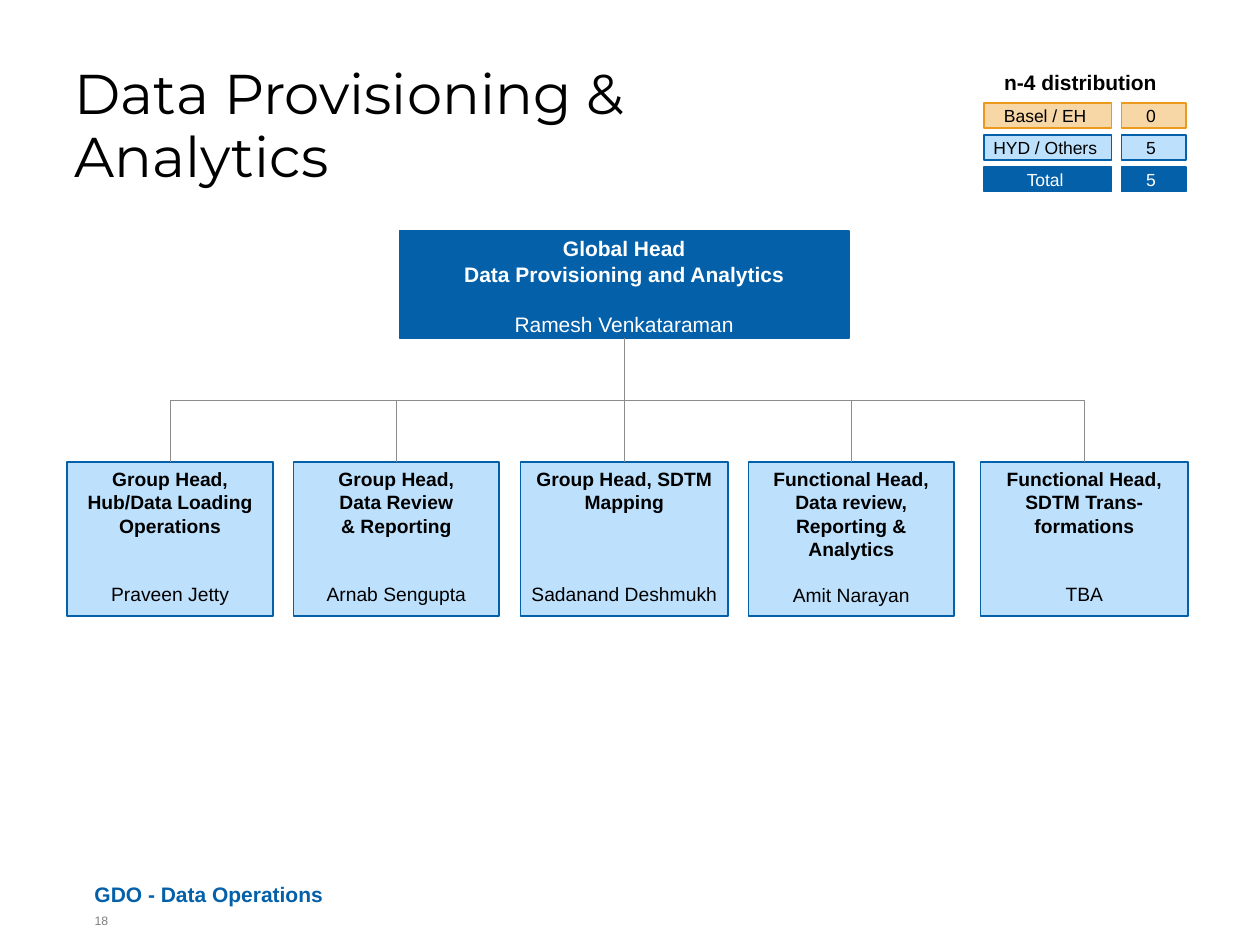
from lxml.etree import SubElement
from pptx import Presentation
from pptx.dml.color import RGBColor as RGB
from pptx.enum.shapes import MSO_CONNECTOR as CONN, MSO_SHAPE as SHAPE
from pptx.enum.text import MSO_ANCHOR as ANCHOR, MSO_AUTO_SIZE as FIT, PP_ALIGN as ALIGN
from pptx.oxml.ns import qn
from pptx.util import Pt

BLUE = RGB(0x04, 0x60, 0xA9)
SKY = RGB(0xBD, 0xE1, 0xFD)
SAND = RGB(0xF7, 0xD7, 0xA5)
ORANGE = RGB(0xEC, 0x9A, 0x1E)
BLACK = RGB(0, 0, 0)
WHITE = RGB(0xFF, 0xFF, 0xFF)
LINE_GRAY = RGB(0x8C, 0x8C, 0x8C)
PAGE_GRAY = RGB(0x7F, 0x7F, 0x7F)
LINE_HEIGHT = 1.18

GROUPS = [
    (38.2, 118, "Group Head, Hub/Data Loading Operations", "Praveen Jetty", 2),
    (167.75, 117.5, "Group Head,\vData Review\v& Reporting", "Arnab Sengupta", 2),
    (297.35, 118.8, "Group Head, SDTM Mapping", "Sadanand Deshmukh", 3),
    (427.7, 117.5, "Functional Head, Data review, Reporting & Analytics", "Amit Narayan", 1),
    (560.2, 118.8, "Functional Head, SDTM Trans-\vformations", "TBA", 2),
]
TALLY = [
    ("Basel / EH", "0", SAND, ORANGE, BLACK),
    ("HYD / Others", "5", SKY, BLUE, BLACK),
    ("Total", "5", BLUE, BLUE, WHITE),
]


def set_frame(tf, insets, anchor=ANCHOR.TOP):
    left, top, right, bottom = map(Pt, insets)
    fmt = dict(margin_left=left, margin_top=top, margin_right=right, margin_bottom=bottom,
               vertical_anchor=anchor, auto_size=FIT.NONE, word_wrap=True)
    for key, value in fmt.items():
        setattr(tf, key, value)


def write(p, text, size, color, bold=False, align=ALIGN.LEFT, font="Arial", before=0):
    p.text = text
    p.alignment = align
    p.space_before = Pt(before)
    for r in p.runs:
        for key, value in dict(name=font, size=Pt(size), bold=bold).items():
            setattr(r.font, key, value)
        r.font.color.rgb = color


def add_label(s, box, text, size, color, insets=(0, 0, 0, 0), anchor=ANCHOR.TOP, bold=False):
    tf = s.shapes.add_textbox(*map(Pt, box)).text_frame
    set_frame(tf, insets, anchor)
    write(tf.paragraphs[0], text, size, color, bold)


def add_box(s, box, fill, line):
    sp = s.shapes.add_shape(SHAPE.RECTANGLE, *map(Pt, box))
    sp.shadow.inherit = False
    sp.fill.solid()
    sp.fill.fore_color.rgb = fill
    sp.line.color.rgb = line
    sp.line.width = Pt(1)
    return sp


def add_role(s, box, role_lines, person, size, fill, color, blanks, side=3):
    sp = add_box(s, box, fill, BLUE)
    tf = sp.text_frame
    set_frame(tf, (side, 3, side, 3))
    for i, text in enumerate(role_lines):
        p = tf.add_paragraph() if i else tf.paragraphs[0]
        write(p, text, size, color, True, ALIGN.CENTER)
    write(tf.add_paragraph(), person, size, color, align=ALIGN.CENTER,
          before=round(blanks * size * LINE_HEIGHT, 2))
    return sp


def link(s, parent, child):
    x1, y1 = parent.left + parent.width // 2, parent.top + parent.height
    x2, y2 = child.left + child.width // 2, child.top
    dx, dy = x2 - x1, y2 - y1
    straight = abs(dx) < Pt(1)
    c = s.shapes.add_connector(CONN.STRAIGHT if straight else CONN.ELBOW, x1, y1, x2, y2)
    c.begin_connect(parent, 2)
    c.end_connect(child, 0)
    c.line.color.rgb = LINE_GRAY
    c.line.width = Pt(0.5)
    spPr = c._element.spPr
    SubElement(spPr, qn("a:effectLst"))
    if straight:
        return
    frame = dict(left=(x1 + x2 - dy) // 2, top=(y1 + y2 - abs(dx)) // 2,
                 width=dy, height=abs(dx))
    for key, value in frame.items():
        setattr(c, key, value)
    xfrm = spPr.find(qn("a:xfrm"))
    xfrm.set("rot", "16200000" if dx > 0 else "5400000")
    xfrm.set("flipH", "1" if dx > 0 else "0")
    xfrm.set("flipV", "0")


def add_title(s, box):
    title = s.shapes.title
    for key, value in zip(("left", "top", "width", "height"), box):
        setattr(title, key, Pt(value))
    set_frame(title.text_frame, (0, 0, 0, 0))
    p = title.text_frame.paragraphs[0]
    write(p, "Data Provisioning & Analytics", 32, BLACK, font="Montserrat")
    p.line_spacing = 0.95


def add_tally(s, box):
    left, top, width, height = box
    label_w, count_w, row_h, cell_h = 72.75, 36.75, 18.1, 14.25
    add_label(s, (left + 4.3, top, width - 4.3, 21.6), "n-4 distribution", 12, BLACK,
              (7.2, 3.6, 7.2, 3.6), bold=True)
    first = top + height - 2 * row_h - cell_h
    for i, (name, count, fill, line, color) in enumerate(TALLY):
        y = first + i * row_h
        cells = [(left, label_w, name), (left + width - count_w, count_w, count)]
        for x, w, text in cells:
            tf = add_box(s, (x, y, w, cell_h), fill, line).text_frame
            set_frame(tf, (0, 0, 3, 0), ANCHOR.MIDDLE)
            write(tf.paragraphs[0], text, 10, color, align=ALIGN.CENTER)


def add_org_chart(s, box):
    left, top, width, height = box
    head = add_role(s, (left + 190.05, top, 257, 61.2),
                    ["Global Head", "Data Provisioning and Analytics"],
                    "Ramesh Venkataraman", 12, BLUE, WHITE, 1)
    group_h = 87.8
    groups = [
        add_role(s, (x, top + height - group_h, w, group_h), [role], person, 11,
                 SKY, BLACK, blanks, 0 if "SDTM Mapping" in role else 3)
        for x, w, role, person, blanks in GROUPS
    ]
    for group in groups:
        link(s, head, group)


def add_footer(s, box):
    left, top, width, height = box
    add_label(s, (left, top, width, 18), "GDO - Data Operations", 12, BLUE,
              anchor=ANCHOR.BOTTOM, bold=True)
    add_label(s, (left, top + height - 18, 18, 18), "18", 7, PAGE_GRAY)


def main():
    prs = Presentation()
    prs.slide_width, prs.slide_height = Pt(720), Pt(540)
    s = prs.slides.add_slide(prs.slide_layouts[5])
    add_title(s, (42.5, 36, 466.5, 75.6))
    add_org_chart(s, (38.2, 131.8, 640.8, 220.2))
    add_tally(s, (562.4, 36, 115.2, 73.5))
    add_footer(s, (54, 500.4, 468, 39.6))
    prs.save("out.pptx")


if __name__ == "__main__":
    main()
